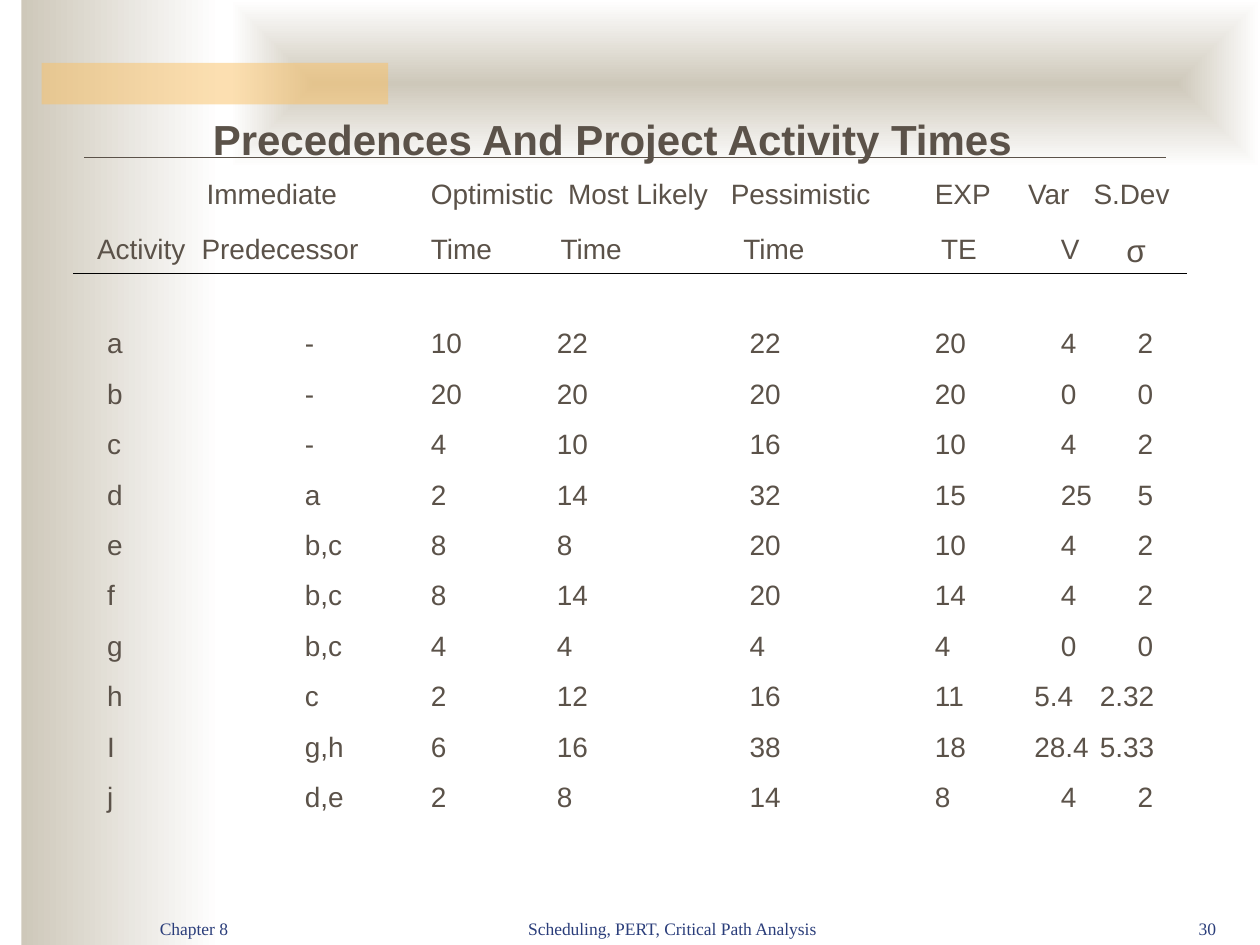
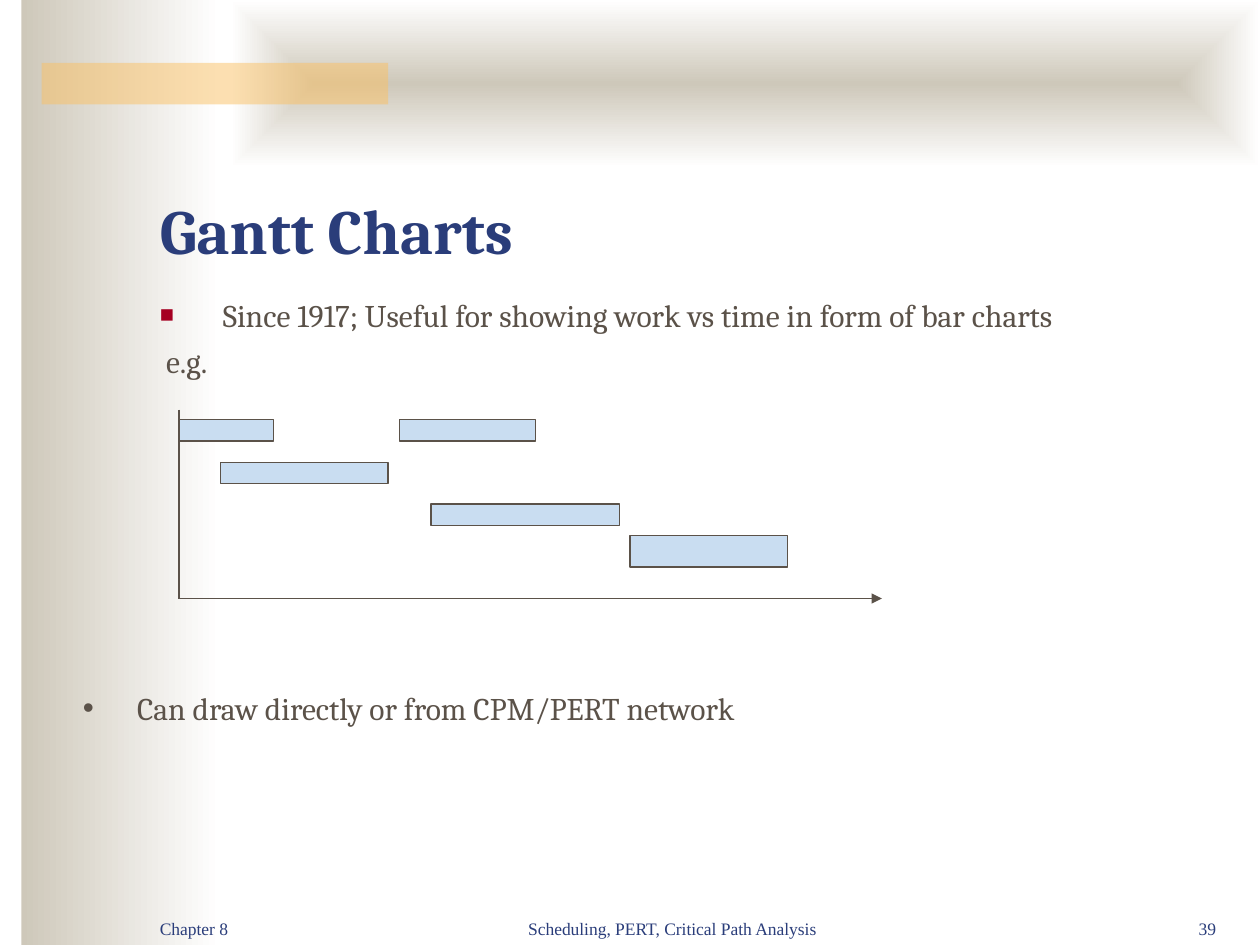
from pptx import Presentation
from pptx.dml.color import RGBColor
from pptx.enum.shapes import MSO_CONNECTOR as CONN, MSO_SHAPE as SHAPE
from pptx.enum.text import MSO_ANCHOR as ANCHOR, PP_ALIGN as ALIGN
from pptx.oxml import parse_xml
from pptx.oxml.ns import nsdecls, qn
from pptx.util import Inches, Pt
from lxml import etree

COLORS = {
    "sand": "CEC8BA", "white": "FFFFFF", "amber": "FAC164", "navy": "2A3D7A",
    "brown": "5B5249", "black": "000000", "crimson": "A50021", "sky": "C9DDF1",
}
LINE_WIDTH = Pt(0.74)
NO_STYLE = "{2D5ABB26-0587-4C30-8999-92F81FD0307C}"

# Column width, then the indents of the two header lines and of the values
COLUMNS = [
    (0.83, 0, 0, 0.08),
    (1.82, 0.04, 0, 0.82),
    (1.00, 0, 0, 0),
    (1.38, 0.09, 0.03, 0),
    (1.62, 0, 0.1, 0.15),
    (0.74, 0, 0.05, 0),
    (0.52, 0, 0.26, 0.26),
    (0.72, 0, 0.26, 0.35),
]
DECIMAL_INDENT = 0.05
HEADERS = [
    ["", "Immediate", "Optimistic", "Most Likely", "Pessimistic", "EXP", "Var", "S.Dev"],
    ["Activity", "Predecessor", "Time", "Time", "Time", "TE", "V", "σ"],
]
ACTIVITIES = [row.split() for row in (
    "a - 10 22 22 20 4 2",
    "b - 20 20 20 20 0 0",
    "c - 4 10 16 10 4 2",
    "d a 2 14 32 15 25 5",
    "e b,c 8 8 20 10 4 2",
    "f b,c 8 14 20 14 4 2",
    "g b,c 4 4 4 4 0 0",
    "h c 2 12 16 11 5.4 2.32",
    "I g,h 6 16 38 18 28.4 5.33",
    "j d,e 2 8 14 8 4 2",
)]
# Left, top, width, height of each task bar
TASKS = [
    (1.42, 3.33, 0.75, 0.17),
    (3.17, 3.33, 1.08, 0.17),
    (1.75, 3.67, 1.33, 0.17),
    (3.42, 4, 1.5, 0.17),
    (5, 4.25, 1.25, 0.25),
]


def rgb(name):
    """Return a named colour."""
    return RGBColor.from_string(COLORS[name])


def style(p, size, font, color, bold=False):
    """Format every run of a paragraph."""
    for r in p.runs:
        r.font.size, r.font.name, r.font.bold = Pt(size), font, bold
        r.font.color.rgb = rgb(color)


def add_rect(slide, box, fill=None, line=None):
    """Add a flat rectangle, optionally filled and outlined."""
    sp = slide.shapes.add_shape(SHAPE.RECTANGLE, *map(Inches, box))
    sp.shadow.inherit = False
    if fill:
        sp.fill.solid()
        sp.fill.fore_color.rgb = rgb(fill)
    if line:
        sp.line.color.rgb = rgb(line)
        sp.line.width = LINE_WIDTH
    else:
        sp.line.fill.background()
    return sp


def add_gradient(slide, box, direction):
    """Add a rectangle fading from sand to white."""
    sp = add_rect(slide, box)
    stops = "".join(
        f'<a:gs pos="{pos}"><a:srgbClr val="{COLORS[name]}"/></a:gs>'
        for pos, name in ((0, "sand"), (100000, "white")))
    grad = parse_xml(f'<a:gradFill {nsdecls("a")}><a:gsLst>{stops}</a:gsLst>'
                     f'{direction}</a:gradFill>')
    sp._element.spPr.find(qn("a:prstGeom")).addnext(grad)


def add_line(slide, start, end, color, arrow=False):
    """Add a thin straight line, with an arrowhead at its end if asked."""
    line = slide.shapes.add_connector(
        CONN.STRAIGHT, *map(Inches, (*start, *end)))
    line.line.color.rgb = rgb(color)
    line.line.width = LINE_WIDTH
    if arrow:
        etree.SubElement(line.line._get_or_add_ln(), qn("a:tailEnd"), type="triangle")
    etree.SubElement(line._element.spPr, qn("a:effectLst"))


def add_text(slide, box, text, size, font, color, bold=False,
             align=ALIGN.LEFT, anchor=ANCHOR.TOP):
    """Add a wrapped text box and return its text frame."""
    tf = slide.shapes.add_textbox(*map(Inches, box)).text_frame
    tf.word_wrap = True
    tf.vertical_anchor = anchor
    tf.text = text
    for p in tf.paragraphs:
        p.alignment = align
        style(p, size, font, color, bold)
    return tf


def set_indent(p, left, hanging=0.0, bullet=None, color="brown", percent=100):
    """Set the indent, the space before and the bullet of a paragraph."""
    p.space_before = Pt(4.5)
    pPr = p._p.get_or_add_pPr()
    pPr.set("marL", str(Inches(left)))
    pPr.set("indent", str(-Inches(hanging)))
    if bullet:
        bu_color = etree.SubElement(pPr, qn("a:buClr"))
        etree.SubElement(bu_color, qn("a:srgbClr"), val=COLORS[color])
        etree.SubElement(pPr, qn("a:buSzPct"), val=str(percent * 1000))
        etree.SubElement(pPr, qn("a:buFont"), typeface="Arial")
        etree.SubElement(pPr, qn("a:buChar"), char=bullet)


def add_base(prs, number):
    """Add a slide with the shared bands and footers."""
    slide = prs.slides.add_slide(prs.slide_layouts[6])
    add_gradient(slide, (0.17, 0, 1.58, 7.5), '<a:lin ang="0" scaled="0"/>')
    add_gradient(slide, (1.83, 0, 8.17, 1.33),
                 '<a:path path="rect"><a:fillToRect l="50000" t="50000" '
                 'r="50000" b="50000"/></a:path>')
    bar = add_rect(slide, (0.33, 0.5, 2.75, 0.33), "amber")
    amber = bar._element.spPr.find(qn("a:solidFill"))[0]
    etree.SubElement(amber, qn("a:alpha"), val="50000")
    for left, width, text, align in (
            (1.17, 2.08, "Chapter 8", ALIGN.LEFT),
            (3.75, 3.17, "Scheduling, PERT, Critical Path Analysis", ALIGN.CENTER),
            (8.75, 1, str(number), ALIGN.RIGHT)):
        add_text(slide, (left, 7, width, 0.5), text, 10, "Times New Roman",
                 "navy", align=align, anchor=ANCHOR.BOTTOM)
    return slide


def add_activity_table(slide):
    """Add the table of activity times on a clear ground."""
    rows = HEADERS + ACTIVITIES
    heights = [0.44, 0.75] + [0.4] * len(ACTIVITIES)
    widths = [column[0] for column in COLUMNS]
    box = (0.77, 1.35, sum(widths), sum(heights))
    table = slide.shapes.add_table(
        len(rows), len(COLUMNS), *map(Inches, box)).table
    table.first_row = table.horz_banding = False
    table._tbl.tblPr.find(qn("a:tableStyleId")).text = NO_STYLE
    for col, width in zip(table.columns, widths):
        col.width = Inches(width)
    for i, (row, height) in enumerate(zip(rows, heights)):
        table.rows[i].height = Inches(height)
        for j, value in enumerate(row):
            indent = COLUMNS[j][min(i, 2) + 1]
            if i >= len(HEADERS) and "." in value:
                indent = DECIMAL_INDENT
            cell = table.cell(i, j)
            cell.fill.background()
            cell.margin_left, cell.margin_top = Inches(indent), Inches(0.07)
            cell.margin_right = cell.margin_bottom = 0
            cell.text = value
            style(cell.text_frame.paragraphs[0], 18 if value == "σ" else 16,
                  "Arial", "brown")


def build_times(prs):
    """Build the slide of precedences and activity times."""
    slide = add_base(prs, 30)
    add_text(slide, (0.42, 0.85, 8.88, 0.48),
             "Precedences And Project Activity Times", 24, "Arial", "brown",
             bold=True, align=ALIGN.CENTER)
    add_activity_table(slide)
    add_line(slide, (0.58, 2.17), (9.42, 2.17), "black")
    add_line(slide, (0.67, 1.25), (9.25, 1.25), "brown")


def build_gantt(prs):
    """Build the slide on Gantt charts."""
    slide = add_base(prs, 39)
    add_text(slide, (1.17, 0.92, 8.5, 1.25), "Gantt Charts", 36, "Cambria",
             "navy", bold=True, anchor=ANCHOR.BOTTOM)
    tf = add_text(
        slide, (1.17, 2.3, 8.5, 0.9),
        "Since 1917; Useful for showing work vs time in form of bar charts\ne.g.",
        18, "Cambria", "brown")
    set_indent(tf.paragraphs[0], 0.5, 0.5, "■", "crimson", 75)
    set_indent(tf.paragraphs[1], 0.05)
    origin = (1.42, 4.75)
    add_line(slide, (1.42, 3.25), origin, "brown")
    add_line(slide, origin, (7, 4.75), "brown", arrow=True)
    for box in TASKS:
        add_rect(slide, box, "sky", "brown")
    tf = add_text(slide, (0.33, 5.42, 7.17, 0.4),
                  "Can draw directly or from CPM/PERT network",
                  18, "Cambria", "brown")
    set_indent(tf.paragraphs[0], 0.66, 0.43, "•")


def main():
    """Build and save the presentation."""
    prs = Presentation()
    prs.slide_width, prs.slide_height = Inches(10), Inches(7.5)
    build_times(prs)
    build_gantt(prs)
    prs.save("out.pptx")


main()
